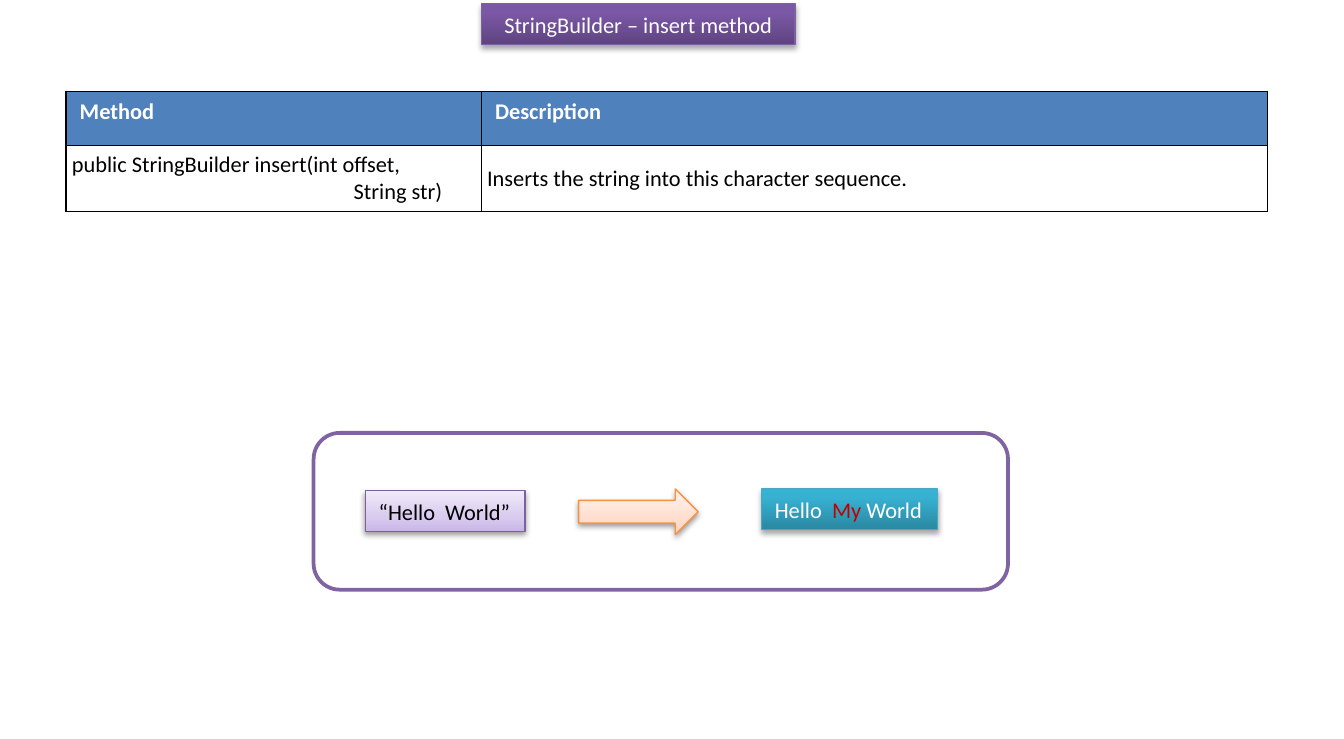
"""Build a slide about the StringBuilder insert method."""
from lxml import etree
from pptx import Presentation
from pptx.dml.color import RGBColor
from pptx.enum.shapes import MSO_SHAPE
from pptx.enum.text import MSO_ANCHOR, MSO_AUTO_SIZE, PP_ALIGN
from pptx.oxml.ns import qn
from pptx.util import Pt

RECT = MSO_SHAPE.RECTANGLE
ROUND = MSO_SHAPE.ROUNDED_RECTANGLE
ARROW = MSO_SHAPE.RIGHT_ARROW
MIDDLE = MSO_ANCHOR.MIDDLE
TOP = MSO_ANCHOR.TOP
FIXED = MSO_AUTO_SIZE.NONE
CENTER = PP_ALIGN.CENTER
LEFT = PP_ALIGN.LEFT

WHITE = RGBColor(0xFF, 0xFF, 0xFF)
BLACK = RGBColor(0, 0, 0)
RED = RGBColor(0xC0, 0, 0)
BLUE = RGBColor(0x4F, 0x81, 0xBD)
PURPLE = RGBColor(0x80, 0x64, 0xA2)
VIOLET = RGBColor(0x7D, 0x60, 0xA0)
TEAL = RGBColor(0x46, 0xAA, 0xC5)
ORANGE = RGBColor(0xF6, 0x92, 0x40)

GRAPE = ((0, "5F4480"), (80, "7B58A6"), (100, "7C57A8"))
LILAC = ((0, "C9B5E8"), (35, "D8CBEE"), (100, "F0EAF9"))
AQUA = ((0, "2A88A2"), (80, "37B1D2"), (100, "34B4D6"))
PEACH = ((0, "FFD2BD"), (35, "FFDED0"), (100, "FFF2ED"))


def add(node, tag, **attrs):
    child = etree.SubElement(node, qn(tag))
    for key, value in attrs.items():
        child.set(key, str(value))
    return child


class Deck:
    """Hold the text style and the current slide."""

    def __init__(self, font, size):
        self.font, self.size = font, Pt(size)
        self.show = Presentation()
        self.show.slide_width, self.show.slide_height = Pt(720), Pt(396)
        self.slide = self.show.slides.add_slide(self.show.slide_layouts[5])

    def style(self, para, color, bold=False, align=LEFT):
        para.alignment = align
        font = para.font
        font.name, font.size, font.bold = self.font, self.size, bold
        font.color.rgb = color

    def gloss(self, shape, stops, line, alpha=38, dist=1.6):
        shape.fill.gradient()
        shape.fill.gradient_angle = 90
        grad = shape._element.spPr.find(qn("a:gradFill")).find(qn("a:gsLst"))
        for stop in list(grad):
            grad.remove(stop)
        for pos, color in stops:
            add(add(grad, "a:gs", pos=pos * 1000), "a:srgbClr", val=color)
        shape.line.color.rgb, shape.line.width = line, Pt(0.75)
        shape.shadow.inherit = False
        glow = add(shape._element.spPr.find(qn("a:effectLst")), "a:outerShdw",
                   blurRad=Pt(3.1), dist=Pt(dist), dir=5400000, rotWithShape=0)
        add(add(glow, "a:srgbClr", val="000000"), "a:alpha", val=alpha * 1000)

    def title(self, text, box, stops, line):
        shape = self.slide.shapes.title
        shape.left, shape.top, shape.width, shape.height = map(Pt, box)
        self.gloss(shape, stops, line, 35, 1.8)
        frame = shape.text_frame
        frame.text = text
        frame.auto_size, frame.vertical_anchor = FIXED, MIDDLE
        self.style(frame.paragraphs[0], WHITE, align=CENTER)

    def frame(self, box, line):
        shape = self.slide.shapes.add_shape(ROUND, *map(Pt, box))
        shape.fill.solid()
        shape.fill.fore_color.rgb = WHITE
        shape.line.color.rgb, shape.line.width = line, Pt(2)
        shape.shadow.inherit = False

    def arrow(self, box, stops, line):
        shape = self.slide.shapes.add_shape(ARROW, *map(Pt, box))
        self.gloss(shape, stops, line)

    def label(self, parts, box, stops, line, color, alpha=38, dist=1.6):
        shape = self.slide.shapes.add_shape(RECT, *map(Pt, box))
        self.gloss(shape, stops, line, alpha, dist)
        frame = shape.text_frame
        frame.word_wrap, frame.vertical_anchor = False, MIDDLE
        para = frame.paragraphs[0]
        self.style(para, color)
        for text, tint in parts:
            run = para.add_run()
            run.text = text
            run.font.color.rgb = tint

    def cell(self, cell, lines, head):
        props = cell._tc.get_or_add_tcPr()
        for side in ("a:lnL", "a:lnR", "a:lnT", "a:lnB"):
            edge = add(add(props, side, w=Pt(1)), "a:solidFill")
            add(edge, "a:srgbClr", val=str(BLACK))
        cell.fill.solid()
        cell.fill.fore_color.rgb = BLUE if head else WHITE
        cell.vertical_anchor = TOP if head else MIDDLE
        if not head:
            cell.margin_left = cell.margin_right = Pt(3)
            cell.margin_top = cell.margin_bottom = Pt(3)
        frame = cell.text_frame
        for i, (text, indent) in enumerate(lines):
            para = frame.add_paragraph() if i else frame.paragraphs[0]
            para.text = text
            if indent:
                para._p.get_or_add_pPr().set("marL", str(Pt(indent)))
            self.style(para, WHITE if head else BLACK, head)

    def table(self, rows, box, widths, heights):
        grid = self.slide.shapes.add_table(
            len(rows), len(widths), *map(Pt, box)).table
        grid.horz_banding = False
        for col, width in zip(grid.columns, widths):
            col.width = Pt(width)
        for r, (row, height) in enumerate(zip(rows, heights)):
            grid.rows[r].height = Pt(height)
            for c, lines in enumerate(row):
                self.cell(grid.cell(r, c), lines, r == 0)


def main():
    deck = Deck("Calibri", 12)
    deck.frame((168, 232, 372, 84), PURPLE)
    deck.title("StringBuilder – insert method", (258, 2, 168, 21.8),
               GRAPE, VIOLET)
    rows = (
        ([("Method", 0)], [("Description", 0)]),
        ([("public StringBuilder insert(int offset,", 0),
          ("String str)", 151)],
         [("Inserts the string into this character sequence.", 0)]),
    )
    deck.table(rows, (35.5, 49, 643.5, 64), (222.5, 421), (29, 35))
    deck.label([("“Hello  World”", BLACK)], (195.8, 263, 85.5, 21.8),
               LILAC, VIOLET, BLACK)
    deck.label([("Hello  ", WHITE), ("My", RED), (" World", WHITE)],
               (408, 262, 94.4, 21.8), AQUA, TEAL, WHITE, 35, 1.8)
    deck.arrow((310, 262, 64, 24.5), PEACH, ORANGE)
    deck.show.save("out.pptx")


if __name__ == "__main__":
    main()
